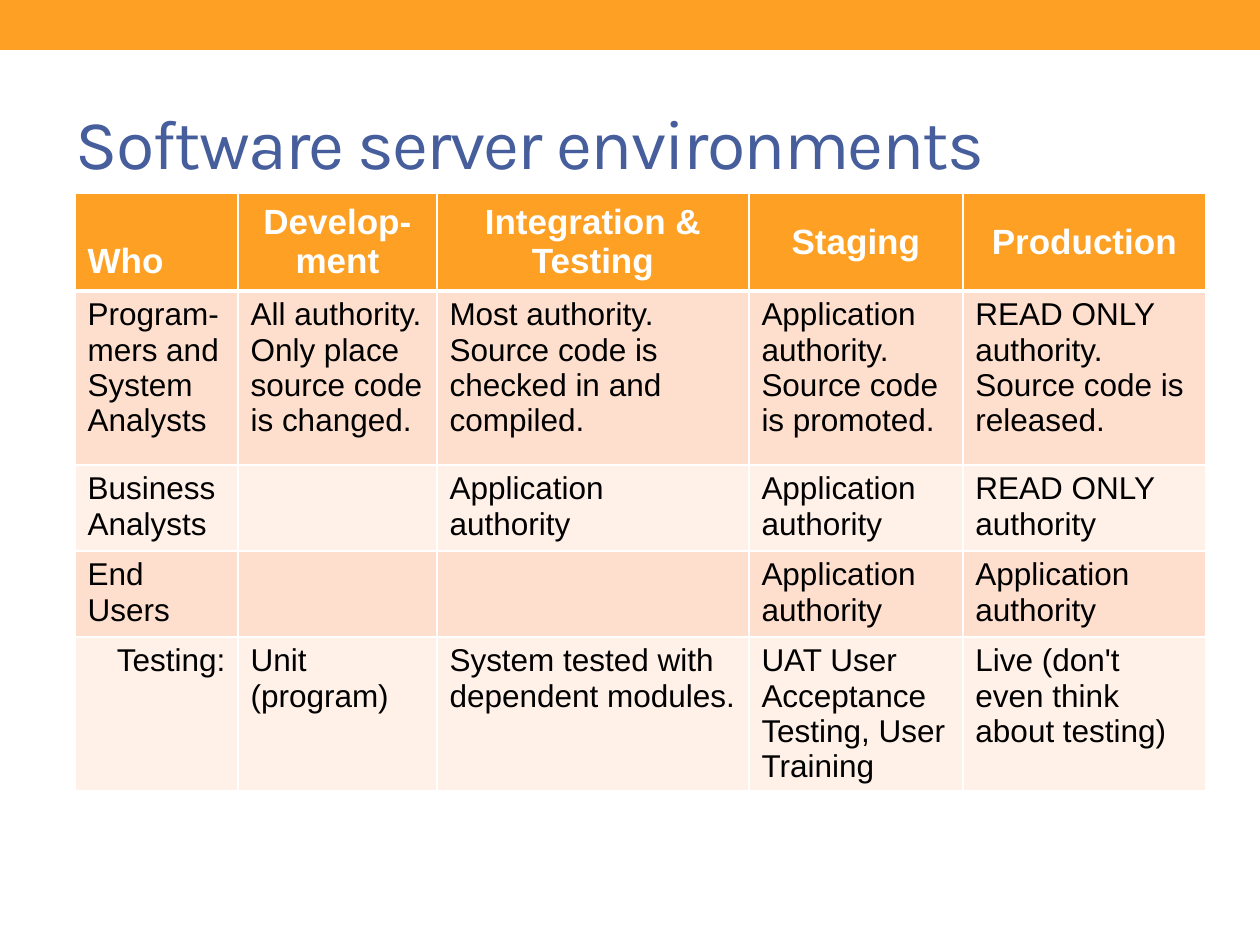
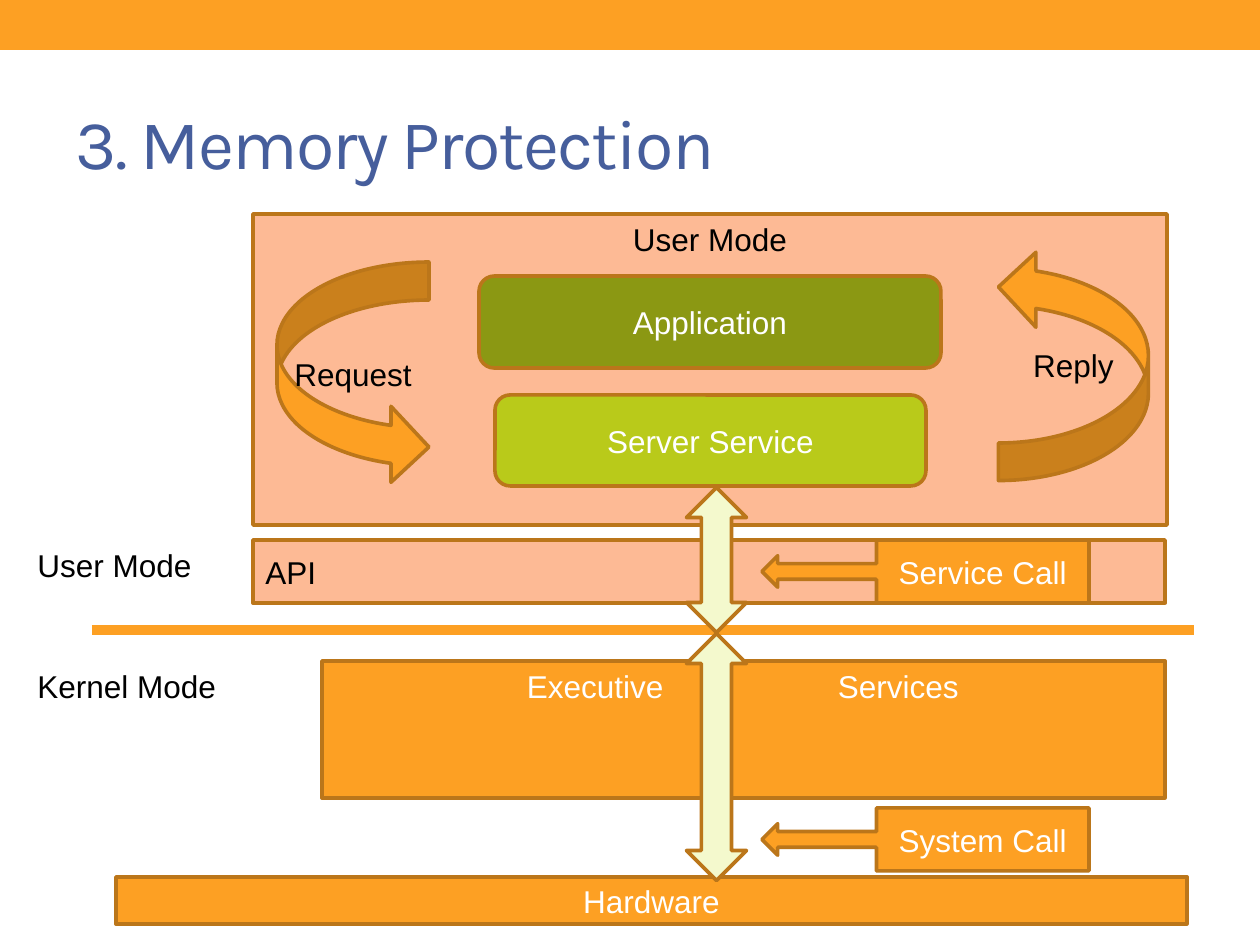
from typing import NamedTuple

from lxml import etree
from pptx import Presentation
from pptx.dml.color import RGBColor
from pptx.enum.shapes import MSO_CONNECTOR, MSO_SHAPE
from pptx.enum.text import MSO_ANCHOR, PP_ALIGN
from pptx.oxml.ns import qn
from pptx.util import Pt

PX = 914400 / 126
PAGE_WIDTH, PAGE_HEIGHT = 1260, 945
TITLE_ONLY = 5

ORANGE = RGBColor(0xFD, 0xA0, 0x23)
BROWN = RGBColor(0xBB, 0x76, 0x1A)
PEACH = RGBColor(0xFD, 0xBA, 0x95)
LIME = RGBColor(0xB9, 0xCA, 0x1A)
OLIVE = RGBColor(0x8B, 0x98, 0x13)
PALE_LIME = RGBColor(0xF4, 0xF9, 0xCD)
BLUE = RGBColor(0x46, 0x5E, 0x9C)
ROW_DARK = RGBColor(0xFE, 0xDF, 0xCD)
ROW_LIGHT = RGBColor(0xFF, 0xF0, 0xE8)
WHITE = RGBColor(0xFF, 0xFF, 0xFF)
BLACK = RGBColor(0, 0, 0)

LEFT, CENTER, RIGHT = PP_ALIGN.LEFT, PP_ALIGN.CENTER, PP_ALIGN.RIGHT
TOP, MIDDLE, BOTTOM = MSO_ANCHOR.TOP, MSO_ANCHOR.MIDDLE, MSO_ANCHOR.BOTTOM
RECTANGLE, ROUNDED = MSO_SHAPE.RECTANGLE, MSO_SHAPE.ROUNDED_RECTANGLE
DOUBLE_ARROW = MSO_SHAPE.LEFT_RIGHT_ARROW
CALLOUT = MSO_SHAPE.LEFT_ARROW_CALLOUT
REQUEST_ARROW = MSO_SHAPE.CURVED_RIGHT_ARROW
REPLY_ARROW = MSO_SHAPE.CURVED_UP_ARROW
STRAIGHT = MSO_CONNECTOR.STRAIGHT

COLUMN_WIDTHS = [163, 199, 312, 214, 243]
ROW_HEIGHTS = [98, 174, 86, 86, 153]
ENVIRONMENTS = [
    ["Who", "Develop-ment", "Integration & Testing", "Staging", "Production"],
    ["Program- mers and System\nAnalysts",
     "All authority. Only place source code is changed.",
     "Most authority.\nSource code is checked in and compiled.",
     "Application authority.\nSource code is promoted.",
     "READ ONLY authority.\nSource code is released."],
    ["Business Analysts", "", "Application\nauthority",
     "Application authority", "READ ONLY authority"],
    ["End Users", "", "", "Application authority", "Application authority"],
    ["Testing:", "Unit (program)", "System tested with dependent modules.",
     "UAT User Acceptance Testing, User Training",
     "Live (don't even think about testing)"],
]


class Box(NamedTuple):
    left: int
    top: int
    width: int
    height: int

    def inside(self, left, top, width, height):
        return Box(self.left + left, self.top + top, width, height)

    def emu(self):
        return [px(length) for length in self]


def px(length):
    return round(length * PX)


def write_text(frame, text, size=18, font="Arial", color=BLACK, bold=False,
               align=LEFT, spacing=None):
    """Write each line of the text as one formatted paragraph."""
    for index, line in enumerate(text.split("\n")):
        para = frame.add_paragraph() if index else frame.paragraphs[0]
        para.alignment = align
        span = para.add_run()
        span.text = line
        span.font.size = Pt(size)
        span.font.name = font
        span.font.bold = bold
        span.font.color.rgb = color
        if spacing is not None:
            span.font._element.set("spc", str(spacing))


def add_block(page, kind, box, fill, text="", color=WHITE, align=CENTER,
              anchor=MIDDLE, outline=BROWN, rotation=0):
    block = page.shapes.add_shape(kind, *box.emu())
    block.shadow.inherit = False
    block.rotation = rotation
    block.fill.solid()
    block.fill.fore_color.rgb = fill
    if outline is None:
        block.line.fill.background()
    else:
        block.line.color.rgb = outline
        block.line.width = Pt(2.08)
    block.text_frame.vertical_anchor = anchor
    if text:
        write_text(block.text_frame, text, color=color, align=align)
    return block


def add_label(page, box, text):
    label = page.shapes.add_textbox(*box.emu())
    label.text_frame.word_wrap = True
    write_text(label.text_frame, text)


# Shared parts
def prepare_template(deck):
    title = deck.slide_layouts[TITLE_ONLY].placeholders[0]
    title.left, title.top, title.width, title.height = Box(63, 73, 1134, 136).emu()


def add_page(deck, title):
    page = deck.slides.add_slide(deck.slide_layouts[TITLE_ONLY])
    frame = page.shapes.title.text_frame
    frame.vertical_anchor = MIDDLE
    write_text(frame, title, size=40, font="Karla", color=BLUE, spacing=-100)
    return page


def move_band_to_master(deck, page):
    band = add_block(page, RECTANGLE, Box(0, 0, PAGE_WIDTH, 50), ORANGE, outline=None)
    # The first two children of the shape tree are its properties
    deck.slide_master.shapes.element.insert(2, band.element)


# Table of environments
def set_borders(cell, bottom):
    properties = cell._tc.get_or_add_tcPr()
    for side, width in (("lnL", 1), ("lnR", 1), ("lnT", 1), ("lnB", bottom)):
        line = etree.SubElement(properties, qn("a:" + side), w=str(Pt(width)))
        fill = etree.SubElement(line, qn("a:solidFill"))
        etree.SubElement(fill, qn("a:srgbClr"), val=str(WHITE))


def format_cell(cell, text, row, column):
    header = row == 0
    set_borders(cell, bottom=3 if header else 1)
    cell.fill.solid()
    cell.fill.fore_color.rgb = ORANGE if header else ROW_DARK if row % 2 else ROW_LIGHT
    cell.vertical_anchor = MIDDLE if header else TOP
    if not text:
        return
    align = CENTER if header and column else RIGHT if text == "Testing:" else LEFT
    write_text(cell.text_frame, text, size=20 if header else 18, bold=header,
               color=WHITE if header else BLACK, align=align)


def draw_environments(page, box):
    table = page.shapes.add_table(len(ROW_HEIGHTS), len(COLUMN_WIDTHS), *box.emu()).table
    for column, width in zip(table.columns, COLUMN_WIDTHS):
        column.width = px(width)
    for row, height in zip(table.rows, ROW_HEIGHTS):
        row.height = px(height)
    for row, texts in enumerate(ENVIRONMENTS):
        for column, text in enumerate(texts):
            format_cell(table.cell(row, column), text, row, column)
    # "Who" stands level with the second header line
    who = table.cell(0, 0)
    who.vertical_anchor = BOTTOM
    who.margin_bottom = px(10)


# Memory protection diagram
def draw_divider(page, box):
    left, top, width, _ = box.emu()
    divider = page.shapes.add_connector(STRAIGHT, left, top, left + width, top)
    divider.line.color.rgb = ORANGE
    divider.line.width = Pt(6)
    etree.SubElement(divider.element.spPr, qn("a:effectLst"))


def draw_executive(page, box):
    executive = add_block(page, RECTANGLE, box, ORANGE, "Executive\tServices",
                          align=LEFT, anchor=TOP)
    frame = executive.text_frame
    frame.margin_left = px(205)
    properties = frame.paragraphs[0]._p.get_or_add_pPr()
    stops = etree.SubElement(properties, qn("a:tabLst"))
    etree.SubElement(stops, qn("a:tab"), pos=str(px(311)), algn="l")


def draw_user_space(page, box):
    add_block(page, RECTANGLE, box, PEACH, "User Mode", BLACK, anchor=TOP)
    add_block(page, ROUNDED, box.inside(242, 181, 431, 91), LIME, "Server Service")
    add_block(page, ROUNDED, box.inside(226, 62, 462, 92), OLIVE, "Application")
    add_block(page, REQUEST_ARROW, box.inside(24, 48, 152, 223), ORANGE, "Request", BLACK)
    reply = add_block(page, REPLY_ARROW, box.inside(705, 76, 231, 150), ORANGE,
                      "Reply", BLACK, rotation=270)
    # Vertical text cancels the turn of the arrow
    reply.text_frame._txBody.bodyPr.set("vert", "vert")


def draw_calls(page, box):
    for left, top, length in ((-118, -10, 145), (-169, 187, 247)):
        add_block(page, DOUBLE_ARROW, box.inside(left, top, length, 60),
                  PALE_LIME, rotation=270)
    for top, text in ((0, "Service Call"), (268, "System Call")):
        add_block(page, CALLOUT, box.inside(0, top, box.width, 63), ORANGE, text)


def draw_mode_labels(page, box):
    add_label(page, box.inside(0, 0, 189, 50), "User Mode")
    add_label(page, box.inside(0, 121, 232, 50), "Kernel Mode")


def draw_memory_protection(page, box):
    draw_divider(page, box.inside(67, 416, 1102, 0))
    draw_executive(page, box.inside(297, 447, 843, 137))
    draw_user_space(page, box.inside(228, 0, 914, 311))
    add_block(page, RECTANGLE, box.inside(228, 326, 912, 63), PEACH, "API", BLACK, LEFT)
    add_block(page, RECTANGLE, box.inside(91, 663, 1071, 47), ORANGE, "Hardware")
    draw_calls(page, box.inside(737, 326, 327, 331))
    draw_mode_labels(page, box.inside(0, 326, 232, 171))


def main():
    deck = Presentation()
    deck.slide_width, deck.slide_height = px(PAGE_WIDTH), px(PAGE_HEIGHT)
    prepare_template(deck)

    page = add_page(deck, "Software server environments")
    move_band_to_master(deck, page)
    draw_environments(page, Box(75, 193, sum(COLUMN_WIDTHS), sum(ROW_HEIGHTS)))

    page = add_page(deck, "3. Memory Protection")
    draw_memory_protection(page, Box(25, 214, 1169, 710))

    deck.save("out.pptx")


if __name__ == "__main__":
    main()
